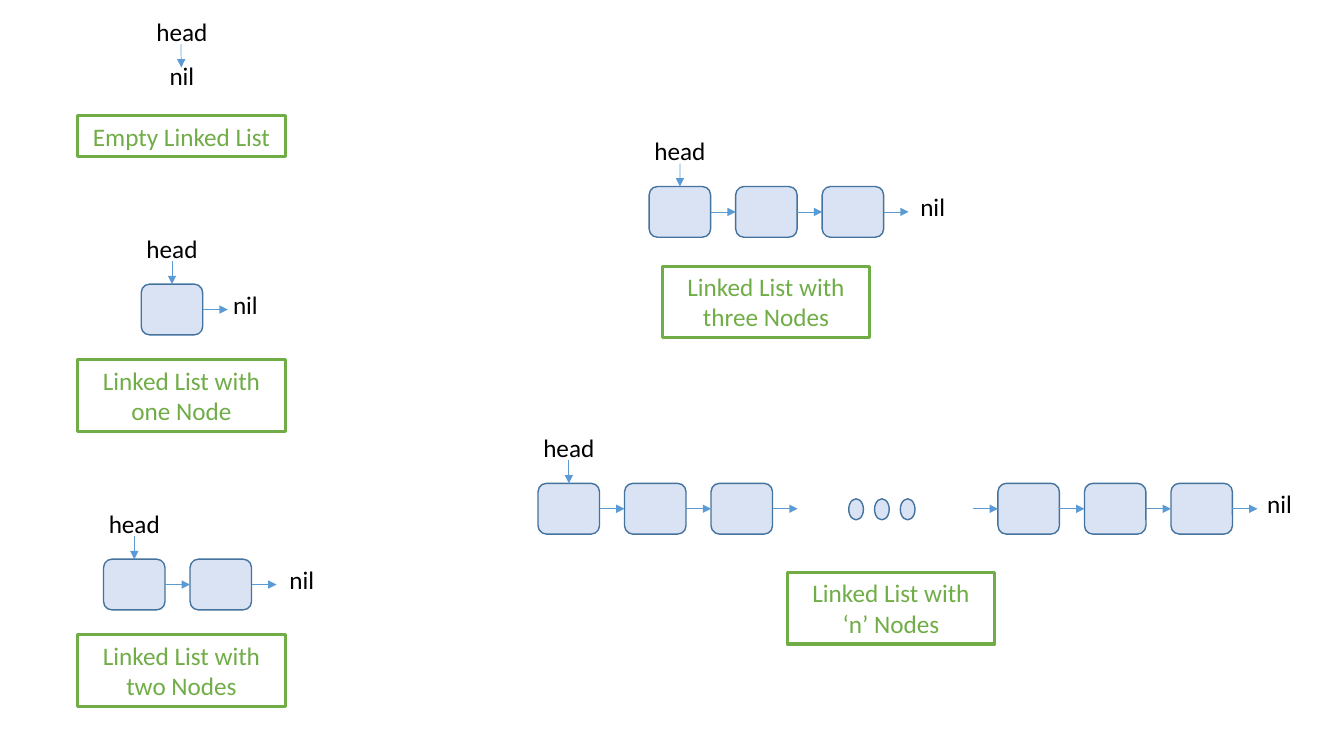
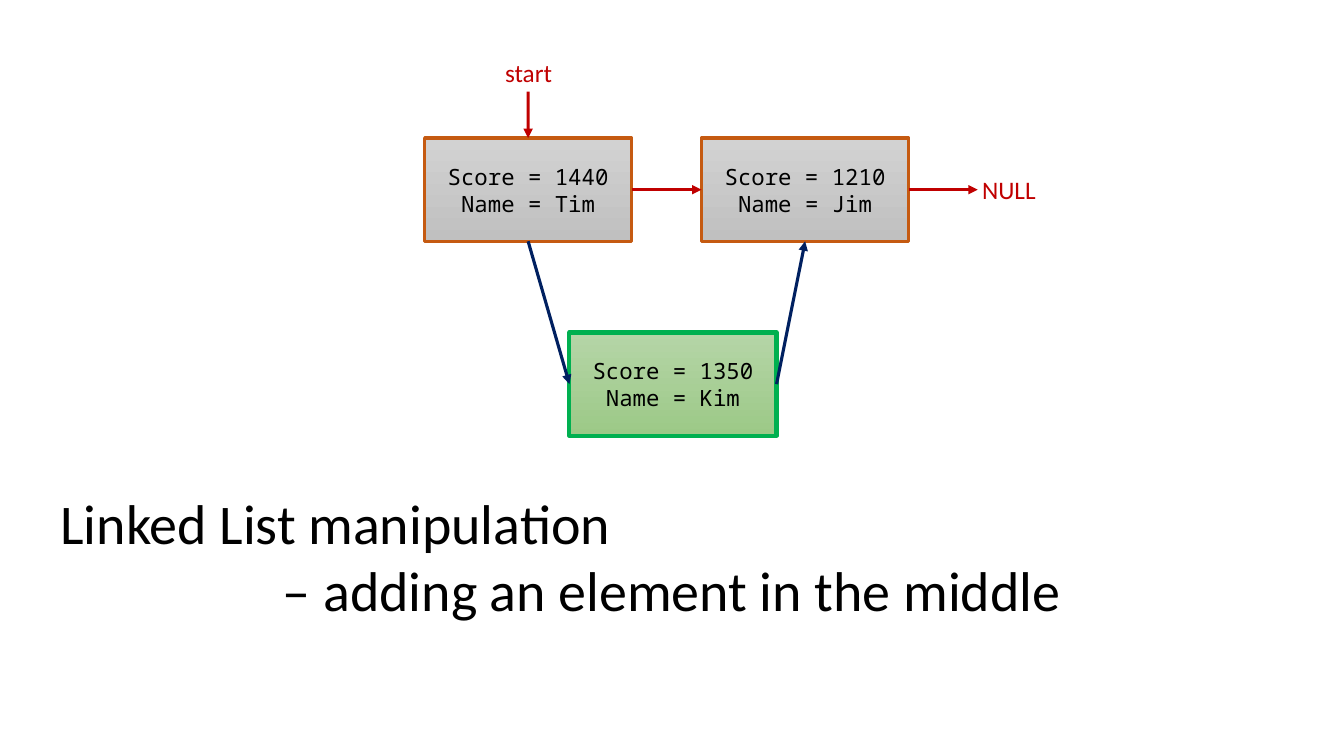
from lxml import etree
from pptx import Presentation
from pptx.dml.color import RGBColor
from pptx.enum import shapes, text
from pptx.oxml import ns
from pptx.util import Cm, Pt

# Shared look
BODY_FONT, CODE_FONT = "Calibri", "Noto Sans Mono"
BLACK, GREEN, RED, NAVY = "000000", "70AD47", "C00000", "002060"
NODE_FILL, NODE_LINE, LINK = "DAE3F3", "43739E", "5B9BD5"
TOP, LEFT, BOTTOM, RIGHT = range(4)
KIND = shapes.MSO_SHAPE
CENTER, START = text.PP_ALIGN.CENTER, text.PP_ALIGN.LEFT

# Slide 1 content, lengths in cm
NODE_W, NODE_H, PITCH = 1.55, 1.28, 2.18
LINK_LENGTH = PITCH - NODE_W
LABEL_W, LABEL_H = 1.85, 1.03
CAPTION_W = 5.23
CAPTIONS = [  # words, left, top, height
    ("Empty Linked List", 1.96, 2.92, 1.03),
    ("Linked List with one Node", 1.96, 9.07, 1.8),
    ("Linked List with two Nodes", 1.96, 16, 1.8),
    ("Linked List with three Nodes", 16.69, 6.71, 1.8),
    ("Linked List with ‘n’ Nodes", 19.84, 14.43, 1.8),
]
CHAINS = [  # left, top, node count, has head, left of nil
    (3.56, 7.16, 1, True, 5.26),
    (2.61, 14.09, 2, True, 6.68),
    (16.36, 4.7, 3, True, 22.58),
    (13.56, 12.18, 3, True, None),
    (25.15, 12.18, 3, False, 31.32),
]
EMPTY_LABELS = [("head", 0.28), ("nil", 1.4)]
DOT_LEFT, DOT_TOP, DOT_PITCH, DOT_W, DOT_H = 21.39, 12.57, 0.65, 0.37, 0.53

# Slide 2 content
RECORD_W, RECORD_H = 5.22, 2.6
GREYS, GREENS = ("D2D2D2", "C0C0C0"), ("B5D5A7", "9CC987")
RECORDS = [  # words, left, top, gradient, outline, outline width
    ("Score = 1440\nName = Tim", 10.7, 3.48, GREYS, "C55A11", 2.25),
    ("Score = 1210\nName = Jim", 17.68, 3.48, GREYS, "C55A11", 2.25),
    ("Score = 1350\nName = Kim", 14.35, 8.38, GREENS, "00B050", 3),
]
POINTER_LABELS = [("start", 11.4, 1.32, 3.84), ("NULL", 23.9, 4.27, 3.05)]
HEADING = "Linked List manipulation\n– adding an element in the middle"


def rgb(value):
    return RGBColor.from_string(value)


def write(shape, words, color=BLACK, size=18, font=BODY_FONT, align=CENTER):
    frame = shape.text_frame
    frame.text = words
    frame.word_wrap = True
    for paragraph in frame.paragraphs:
        paragraph.alignment = align
        for run in paragraph.runs:
            run.font.name, run.font.size = font, Pt(size)
            run.font.color.rgb = rgb(color)
    return frame


def label(slide, words, left, top, width=LABEL_W, color=BLACK):
    box = slide.shapes.add_textbox(Cm(left), Cm(top), Cm(width), Cm(LABEL_H))
    write(box, words, color).auto_size = text.MSO_AUTO_SIZE.SHAPE_TO_FIT_TEXT


def draw(slide, kind, left, top, width, height, fill, line, weight=1):
    """fill is a colour, a pair of gradient colours, or None."""
    shape = slide.shapes.add_shape(kind, Cm(left), Cm(top), Cm(width), Cm(height))
    shape.shadow.inherit = False
    shape.line.color.rgb, shape.line.width = rgb(line), Pt(weight)
    if fill is None:
        shape.fill.background()
    elif isinstance(fill, tuple):
        shape.fill.gradient()
        shape.fill.gradient_angle = 270
        for stop, color in zip(shape.fill.gradient_stops, fill):
            stop.color.rgb = rgb(color)
    else:
        shape.fill.solid()
        shape.fill.fore_color.rgb = rgb(fill)
    return shape


def is_joint(end):
    return not isinstance(end[0], (int, float))


def locate(end):
    if not is_joint(end):
        return Cm(end[0]), Cm(end[1])
    shape, side = end
    across = {LEFT: 0, RIGHT: shape.width}.get(side, shape.width // 2)
    down = {TOP: 0, BOTTOM: shape.height}.get(side, shape.height // 2)
    return shape.left + across, shape.top + down


def arrow(slide, start, end, color=LINK, weight=0.5):
    """Each end is a point in cm or a (shape, side) pair."""
    link = slide.shapes.add_connector(
        shapes.MSO_CONNECTOR.STRAIGHT, *locate(start), *locate(end))
    if is_joint(start):
        link.begin_connect(*start)
    if is_joint(end):
        link.end_connect(*end)
    link.line.color.rgb, link.line.width = rgb(color), Pt(weight)
    properties = link._element.spPr
    etree.SubElement(properties.find(ns.qn("a:ln")), ns.qn("a:tailEnd"), type="triangle")
    etree.SubElement(properties, ns.qn("a:effectLst"))


def chain(slide, left, top, count, has_head, nil_left):
    middle = top + NODE_H / 2
    nodes = [draw(slide, KIND.ROUNDED_RECTANGLE, left + i * PITCH, top,
                  NODE_W, NODE_H, NODE_FILL, NODE_LINE) for i in range(count)]
    for node, following in zip(nodes, nodes[1:]):
        arrow(slide, (node, RIGHT), (following, LEFT))
    arrow(slide, (nodes[-1], RIGHT), (left + count * PITCH, middle))
    if has_head:
        label(slide, "head", left - 0.15, top - 1.41)
        arrow(slide, (left + NODE_W / 2, top - 0.58), (nodes[0], TOP))
    else:
        arrow(slide, (left - LINK_LENGTH, middle), (nodes[0], LEFT))
    if nil_left is not None:
        label(slide, "nil", nil_left, top)


def list_kinds(slide):
    for words, top in EMPTY_LABELS:
        label(slide, words, 3.66, top)
    arrow(slide, (4.56, 1.12), (4.57, 1.7))
    for parts in CHAINS:
        chain(slide, *parts)
    for i in range(3):
        draw(slide, KIND.OVAL, DOT_LEFT + i * DOT_PITCH, DOT_TOP,
             DOT_W, DOT_H, NODE_FILL, NODE_LINE)
    for words, left, top, height in CAPTIONS:
        caption = draw(slide, KIND.RECTANGLE, left, top, CAPTION_W, height,
                       None, GREEN, 2.25)
        frame = write(caption, words, GREEN)
        frame.vertical_anchor = text.MSO_ANCHOR.TOP
        frame.auto_size = text.MSO_AUTO_SIZE.SHAPE_TO_FIT_TEXT


def insertion(slide):
    # Heading
    heading = slide.shapes.title
    heading.left, heading.top = Cm(1.27), Cm(12.19)
    heading.width, heading.height = Cm(31.32), Cm(3.68)
    frame = write(heading, HEADING, size=40, align=START)
    frame.paragraphs[1].alignment = CENTER
    frame.vertical_anchor = text.MSO_ANCHOR.TOP
    frame.auto_size = text.MSO_AUTO_SIZE.SHAPE_TO_FIT_TEXT

    # Records
    records = []
    for words, left, top, fill, line, weight in RECORDS:
        record = draw(slide, KIND.RECTANGLE, left, top, RECORD_W, RECORD_H,
                      fill, line, weight)
        write(record, words, size=16, font=CODE_FONT)
        record.text_frame.vertical_anchor = text.MSO_ANCHOR.MIDDLE
        records.append(record)
    tim, jim, kim = records

    # Pointers
    for start, end, color in [
        ((13.31, 2.31), (tim, TOP), RED),
        ((tim, RIGHT), (jim, LEFT), RED),
        ((jim, RIGHT), (24.64, 4.78), RED),
        ((tim, BOTTOM), (kim, LEFT), NAVY),
        ((kim, RIGHT), (jim, BOTTOM), NAVY),
    ]:
        arrow(slide, start, end, color, 2.25)
    for words, left, top, width in POINTER_LABELS:
        label(slide, words, left, top, width, RED)


def main():
    deck = Presentation()
    deck.slide_width, deck.slide_height = Cm(33.87), Cm(19.05)
    title_only, blank = deck.slide_layouts[5], deck.slide_layouts[6]
    list_kinds(deck.slides.add_slide(blank))
    insertion(deck.slides.add_slide(title_only))
    deck.save("out.pptx")


if __name__ == "__main__":
    main()
